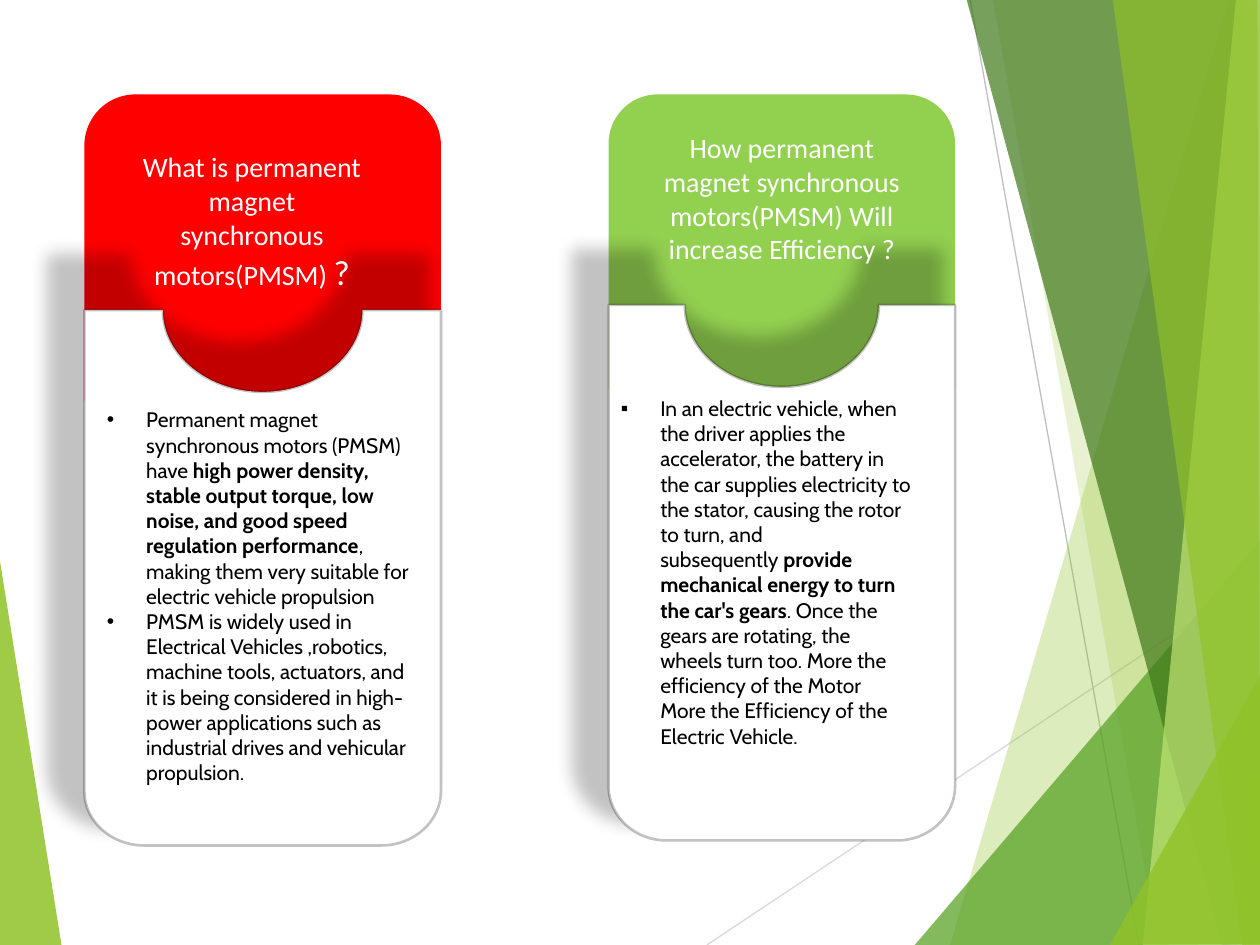
"""Build a slide with two cards about permanent magnet synchronous motors."""
from lxml import etree
from pptx import Presentation
from pptx.dml.color import RGBColor
from pptx.enum import shapes, text
from pptx.oxml import ns
from pptx.util import Inches, Pt

BLACK = RGBColor(0, 0, 0)
WHITE = RGBColor(255, 255, 255)
RED = RGBColor(255, 0, 0)
GREEN = RGBColor(0x92, 0xD0, 0x50)
LEAF = RGBColor(0x90, 0xC2, 0x26)
MID = RGBColor(0x54, 0xA0, 0x21)
DARK = RGBColor(0x3F, 0x78, 0x19)
PALE = RGBColor(0xC0, 0xE4, 0x74)

RAYS = [
    ((5.61, 7.5), (10.01, 4.57), RGBColor(0xD9, 0xD9, 0xD9)),
    ((7.7, 0), (9.04, 7.5), RGBColor(0xBF, 0xBF, 0xBF)),
]
LEFT_FACET = ([(-0.01, 4.39), (0.49, 7.51), (-0.01, 7.5)], LEAF, 85)
RIGHT_FACETS = [
    ([(9.75, 0), (7.54, 7.5), (10.02, 7.51), (10.01, 0.01)], LEAF, 30),
    ([(7.88, -0.01), (9.19, 7.5), (10.01, 7.5), (10.01, -0.01)], LEAF, 20),
    ([(7.26, 7.5), (10, 4.29), (10.01, 7.5)], MID, 72),
    ([(7.67, -0.01), (9.7, 7.5), (10.01, 7.49), (10.01, -0.01)], DARK, 70),
    ([(9.81, -0.01), (9.07, 7.5), (10.01, 7.5), (10, -0.01)], PALE, 70),
    ([(8.83, -0.01), (9.86, 7.5), (10, 7.5), (9.98, -0.01)], LEAF, 65),
    ([(8.81, 7.5), (10.01, 5.35), (10.01, 7.49)], LEAF, 80),
]
CARDS = [
    {
        "cap": (0.67, 0.75, 2.83, 2.43), "color": RED, "top": 2.46,
        "title_box": (1, 1.14, 2, 0.98),
        "title": [("What is permanent magnet synchronous motors(PMSM) ", 16), ("?", 20)],
        "body_box": (0.75, 3.18, 2.67, 4.04), "bullet": "•",
        "body": [
            [("Permanent magnet synchronous motors (PMSM) have\u00a0", False),
             ("high power density, stable output torque, low noise, and good speed "
              "regulation performance", True),
             (", making them very suitable for electric vehicle propulsion", False)],
            [("PMSM is widely used in Electrical Vehicles ,robotics, machine tools, "
              "actuators, and it is being considered in high-power applications such as "
              "industrial drives and vehicular propulsion.", False)],
        ],
    },
    {
        "cap": (4.83, 0.75, 2.75, 2.34), "color": GREEN, "top": 2.42,
        "title_box": (5.08, 0.99, 2.25, 1.18),
        "title": [("How permanent magnet synchronous motors(PMSM) Will increase "
                   "Efficiency ?", 16)],
        "body_box": (4.83, 3.09, 2.5, 3.13), "bullet": "▪",
        "body": [
            [("In an electric vehicle, when the driver applies the accelerator, the battery "
              "in the car supplies electricity to the stator, causing the rotor to turn, and "
              "subsequently\u00a0", False),
             ("provide mechanical energy to turn the car's gears", True),
             (". Once the gears are rotating, the wheels turn too. More the efficiency of "
              "the Motor More the Efficiency of the Electric Vehicle.", False)],
        ],
    },
]
PANEL_HEIGHT = 4.25
INDENT = Pt(22.5)


def sub(parent, tag, **attrs):
    return etree.SubElement(parent, ns.qn(tag), attrs)


def set_alpha(fill, percent):
    color = fill._xPr.find(".//" + ns.qn("a:srgbClr"))
    sub(color, "a:alpha", val=str(percent * 1000))


def quarter(start, corner, end):
    k = 0.55
    c1, c2 = (tuple(a + k * (b - a) for a, b in zip(p, corner)) for p in (start, end))
    return [c1, c2, end]


def add_free(s, start, segments, color):
    points = [p for segment in segments for p in segment]
    builder = s.shapes.build_freeform(*(Inches(v) for v in start), scale=1.0)
    builder.add_line_segments([(Inches(x), Inches(y)) for x, y in points], close=True)
    sp = builder.convert_to_shape()
    lines = iter(list(sp._element.iter(ns.qn("a:lnTo"))))
    for segment in segments:
        first, *rest = [next(lines) for _ in segment]
        if rest:
            first.tag = ns.qn("a:cubicBezTo")
            for line in rest:
                first.append(line[0])
                line.getparent().remove(line)
    sp.shadow.inherit = False
    sp.fill.solid()
    sp.fill.fore_color.rgb = color
    sp.line.fill.background()
    return sp


def add_facet(s, points, color, alpha):
    start, *others = points
    set_alpha(add_free(s, start, [[p] for p in others], color).fill, alpha)


def add_ray(s, start, end, color):
    c = s.shapes.add_connector(shapes.MSO_CONNECTOR.STRAIGHT,
                               *(Inches(v) for v in start + end))
    c.line.color.rgb = color
    c.line.width = Pt(0.75)
    sub(c._element.spPr, "a:effectLst")


def add_panel(s, left, top, width):
    right, bottom, mid = left + width, top + PANEL_HEIGHT, left + width / 2
    notch, low = width * 0.28, top + 0.65
    rx, ry = width / 6, 0.43
    segments = [
        [(mid - notch, top)],
        quarter((mid - notch, top), (mid - notch, low), (mid, low)),
        quarter((mid, low), (mid + notch, low), (mid + notch, top)),
        [(right, top)],
        [(right, bottom - ry)],
        quarter((right, bottom - ry), (right, bottom), (right - rx, bottom)),
        [(left + rx, bottom)],
        quarter((left + rx, bottom), (left, bottom), (left, bottom - ry)),
    ]
    sp = add_free(s, (left, top), segments, WHITE)
    sp.line.color.rgb = BLACK
    sp.line.width = Pt(1.5)
    set_alpha(sp.line.fill, 23)
    effects = sp._element.spPr.find(ns.qn("a:effectLst"))
    shadow = sub(effects, "a:outerShdw", blurRad=str(Pt(10)), dist=str(Inches(0.17)),
                 dir="14100000", sx="107000", sy="107000", algn="br", rotWithShape="0")
    sub(sub(shadow, "a:srgbClr", val=str(BLACK)), "a:alpha", val="23000")


def add_text_frame(s, box):
    tf = s.shapes.add_textbox(*(Inches(v) for v in box)).text_frame
    tf.word_wrap = True
    tf.auto_size = text.MSO_AUTO_SIZE.SHAPE_TO_FIT_TEXT
    return tf


def add_run(p, words, size, font, color, bold=False):
    r = p.add_run()
    r.text = words
    r.font.size = Pt(size)
    r.font.name = font
    r.font.bold = bold
    r.font.color.rgb = color


def add_card(s, card):
    left, _, width, _ = card["cap"]
    sp = s.shapes.add_shape(shapes.MSO_SHAPE.ROUND_2_SAME_RECTANGLE,
                            *(Inches(v) for v in card["cap"]))
    sp.shadow.inherit = False
    sp.fill.solid()
    sp.fill.fore_color.rgb = card["color"]
    sp.line.fill.background()
    add_panel(s, left, card["top"], width)

    p = add_text_frame(s, card["title_box"]).paragraphs[0]
    p.alignment = text.PP_ALIGN.CENTER
    for words, size in card["title"]:
        add_run(p, words, size, "Calibri", WHITE)

    tf = add_text_frame(s, card["body_box"])
    for i, runs in enumerate(card["body"]):
        p = tf.add_paragraph() if i else tf.paragraphs[0]
        pPr = p._p.get_or_add_pPr()
        pPr.set("marL", str(INDENT))
        pPr.set("indent", str(-INDENT))
        sub(pPr, "a:buFont", typeface="Arial")
        sub(pPr, "a:buChar", char=card["bullet"])
        for words, bold in runs:
            add_run(p, words, 12, "Cabin", BLACK, bold)


def main():
    prs = Presentation()
    prs.slide_width, prs.slide_height = Inches(10), Inches(7.5)
    s = prs.slides.add_slide(prs.slide_layouts[6])
    add_facet(s, *LEFT_FACET)
    for ray in RAYS:
        add_ray(s, *ray)
    for facet in RIGHT_FACETS:
        add_facet(s, *facet)
    for card in CARDS:
        add_card(s, card)
    prs.save("out.pptx")


if __name__ == "__main__":
    main()
